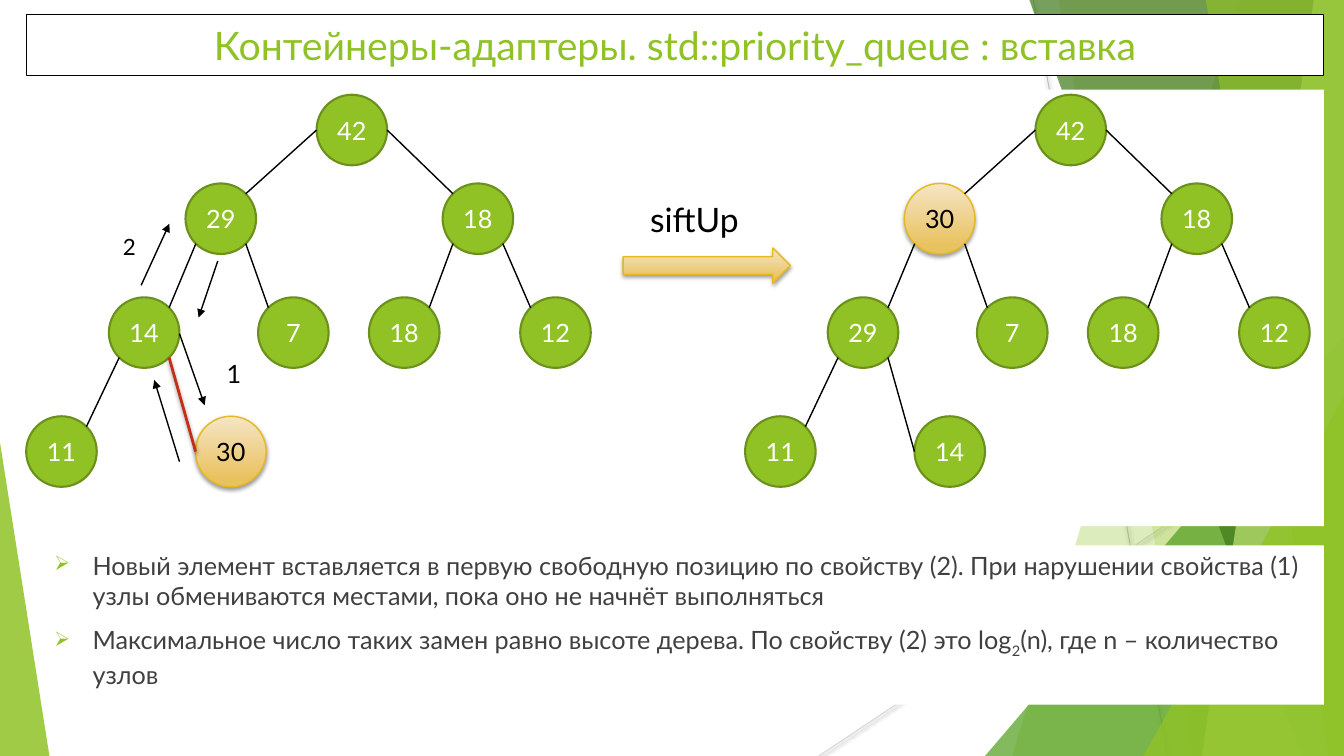
from lxml import etree
from pptx import Presentation
from pptx.dml.color import RGBColor
from pptx.enum.shapes import MSO_CONNECTOR, MSO_SHAPE
from pptx.enum.text import MSO_ANCHOR, MSO_AUTO_SIZE, PP_ALIGN
from pptx.oxml.ns import qn
from pptx.util import Inches, Pt

STRAIGHT = MSO_CONNECTOR.STRAIGHT
RECT, OVAL = MSO_SHAPE.RECTANGLE, MSO_SHAPE.OVAL
TRIANGLE, ARROW = MSO_SHAPE.ISOSCELES_TRIANGLE, MSO_SHAPE.RIGHT_ARROW
MIDDLE, CENTER, LEFT = MSO_ANCHOR.MIDDLE, PP_ALIGN.CENTER, PP_ALIGN.LEFT
GROW, FIXED = MSO_AUTO_SIZE.SHAPE_TO_FIT_TEXT, MSO_AUTO_SIZE.NONE

WHITE = RGBColor(0xFF, 0xFF, 0xFF)
BLACK = RGBColor(0, 0, 0)
TEXT = RGBColor(0x40, 0x40, 0x40)
GREEN = RGBColor(0x90, 0xC2, 0x26)
GREEN_EDGE = RGBColor(0x6B, 0x90, 0x1C)
LEAF = RGBColor(0x54, 0xA0, 0x21)
FOREST = RGBColor(0x3F, 0x78, 0x19)
LIME = RGBColor(0xC0, 0xE4, 0x74)
SAND = RGBColor(0xF5, 0xE5, 0xC5)
GOLD = RGBColor(0xE9, 0xC2, 0x60)
GOLD_EDGE = RGBColor(0xE6, 0xB9, 0x1E)
RED = RGBColor(0xC4, 0x2F, 0x1A)
GRAY = RGBColor(0xBF, 0xBF, 0xBF)
LIGHT_GRAY = RGBColor(0xD9, 0xD9, 0xD9)

W, H = 13.33, 7.5
NODE = 0.7
DIAGONAL = 0.707
TREE_GAP = 7.13
NODE_AT = [(3.14, 0.94), (1.84, 1.82), (4.39, 1.82), (1.08, 2.95), (2.56, 2.95),
           (3.66, 2.95), (5.16, 2.95), (0.26, 4.13), (1.94, 4.13)]


def add_xml(parent, tag, **attrs):
    return etree.SubElement(parent, qn(tag), attrs)


class Deck:
    font = "Lato"

    def __init__(self):
        self.prs = Presentation()
        self.prs.slide_width, self.prs.slide_height = Inches(W), Inches(H)
        self.s = self.prs.slides.add_slide(self.prs.slide_layouts[5])

    def style_runs(self, p, size, color, align=LEFT):
        p.alignment = align
        for r in p.runs:
            r.font.name, r.font.size, r.font.color.rgb = self.font, Pt(size), color

    def paint(self, sp, fill, line=None, width=0.75, alpha=None):
        sp.shadow.inherit = False
        sp.fill.solid()
        sp.fill.fore_color.rgb = fill
        if alpha:
            color = sp.element.spPr.find(qn("a:solidFill"))[0]
            add_xml(color, "a:alpha", val=str(alpha * 1000))
        if line is None:
            sp.line.fill.background()
        else:
            sp.line.color.rgb, sp.line.width = line, Pt(width)

    def paint_gold(self, sp):
        self.paint(sp, GOLD, GOLD_EDGE, 1)
        sp.fill.gradient()
        sp.fill.gradient_angle = 270
        for stop, color, pos in zip(sp.fill.gradient_stops, (SAND, GOLD), (0, 0.88)):
            stop.color.rgb, stop.position = color, pos
        self.cast_shadow(sp.element.spPr.find(qn("a:effectLst")))

    def cast_shadow(self, effects):
        shadow = add_xml(effects, "a:outerShdw", blurRad=str(Pt(3.1)), dist=str(Pt(1.6)),
                         dir="5400000", rotWithShape="0")
        color = add_xml(shadow, "a:srgbClr", val=str(BLACK))
        add_xml(color, "a:alpha", val="38000")

    def shape(self, kind, x, y, w, h, adj=None):
        sp = self.s.shapes.add_shape(kind, Inches(x), Inches(y), Inches(w), Inches(h))
        if adj is not None:
            sp.adjustments[0] = adj
        return sp

    def band(self, top, bottom, color, alpha):
        fb = self.s.shapes.build_freeform(Inches(top), 0)
        fb.add_line_segments([(Inches(x), Inches(y)) for x, y in ((W, 0), (W, H), (bottom, H))])
        self.paint(fb.convert_to_shape(), color, alpha=alpha)

    def line(self, start, end, color=BLACK, width=1, arrow=False, shadow=False):
        c = self.s.shapes.add_connector(STRAIGHT, *(Inches(v) for v in (*start, *end)))
        c.line.color.rgb, c.line.width = color, Pt(width)
        if arrow:
            add_xml(c.line._get_or_add_ln(), "a:tailEnd", type="triangle")
        effects = add_xml(c.element.spPr, "a:effectLst")
        if shadow:
            self.cast_shadow(effects)

    def title(self, text, x, y, w, h):
        sp = self.s.shapes.title
        sp.element.getparent().append(sp.element)
        sp.left, sp.top, sp.width, sp.height = (Inches(v) for v in (x, y, w, h))
        sp.fill.solid()
        sp.fill.fore_color.rgb = WHITE
        sp.line.color.rgb, sp.line.width = BLACK, Pt(0.75)
        tf = sp.text_frame
        tf.text = text
        tf.auto_size, tf.vertical_anchor = FIXED, MIDDLE
        self.style_runs(tf.paragraphs[0], 28, GREEN, CENTER)

    def label(self, text, x, y, w, h, size):
        tf = self.s.shapes.add_textbox(Inches(x), Inches(y), Inches(w), Inches(h)).text_frame
        tf.text = text
        tf.word_wrap, tf.auto_size = False, GROW
        self.style_runs(tf.paragraphs[0], size, BLACK)

    def bullets(self, items, x, y, w, h):
        sp = self.s.shapes.add_textbox(Inches(x), Inches(y), Inches(w), Inches(h))
        sp.fill.solid()
        sp.fill.fore_color.rgb = WHITE
        tf = sp.text_frame
        tf.word_wrap = True
        for i, (text, subscript, rest) in enumerate(items):
            p = tf.add_paragraph() if i else tf.paragraphs[0]
            p.text = text
            if subscript:
                r = p.add_run()
                r.text = subscript
                r.font._element.set("baseline", "-25000")
                p.add_run().text = rest
            self.style_runs(p, 18, TEXT)
            p.space_before = Pt(10)
            pPr = p._p.get_or_add_pPr()
            pPr.set("marL", str(Inches(0.38)))
            pPr.set("indent", str(-Inches(0.38)))
            add_xml(add_xml(pPr, "a:buClr"), "a:srgbClr", val=str(GREEN))
            add_xml(pPr, "a:buSzPct", val="80000")
            add_xml(pPr, "a:buChar", char="➢")

    def node(self, value, x, y, inserted):
        sp = self.shape(OVAL, x, y, NODE, NODE)
        if inserted:
            self.paint_gold(sp)
        else:
            self.paint(sp, GREEN, GREEN_EDGE, 1.5)
        tf = sp.text_frame
        tf.margin_left = tf.margin_right = tf.margin_top = tf.margin_bottom = 0
        tf.text = str(value)
        tf.vertical_anchor = MIDDLE
        self.style_runs(tf.paragraphs[0], 18, BLACK if inserted else WHITE, CENTER)

    def heap(self, values, dx, inserted, broken_edge=None):
        r = NODE / 2
        centers = [(x + dx + r, y + r) for x, y in NODE_AT]
        for i, (value, (x, y)) in enumerate(zip(values, NODE_AT)):
            self.node(value, x + dx, y, i == inserted)
        last = len(values) - 1
        for i in range(1, len(values)):
            parent = (i - 1) // 2
            side = -1 if i % 2 else 1
            px, py = (side, 0) if parent == 0 else (side * DIAGONAL, DIAGONAL)
            cx, cy = (-1, 0) if i == last else (-side * DIAGONAL, -DIAGONAL)
            start = centers[parent][0] + px * r, centers[parent][1] + py * r
            end = centers[i][0] + cx * r, centers[i][1] + cy * r
            if i == broken_edge:
                self.line(start, end, RED, 2, shadow=True)
            else:
                self.line(start, end)

    def backdrop(self):
        self.line((10.25, 0), (11.58, H), GRAY, 0.75, shadow=True)
        self.line((W, 4.03), (8.12, H), LIGHT_GRAY, 0.75, shadow=True)
        self.band(12.28, 10.04, GREEN, 30)
        self.band(10.5, 11.83, GREEN, 20)
        self.paint(self.shape(TRIANGLE, 9.77, 3.33, 3.56, 4.17, 1), LEAF, alpha=72)
        self.band(10.21, 12.91, FOREST, 70)
        self.band(13.03, 11.92, LIME, 70)
        self.band(11.96, 13.18, GREEN, 65)
        self.paint(self.shape(TRIANGLE, 11.34, 3.93, 1.99, 3.57, 1), GREEN, alpha=80)
        self.paint(self.shape(TRIANGLE, 0, 4.39, 0.49, 3.11, 0), GREEN, alpha=85)


def main():
    d = Deck()
    d.backdrop()
    d.paint(d.shape(RECT, 6.51, 0.89, 6.62, 4.33), WHITE)
    d.bullets([
        ("Новый элемент вставляется в первую свободную позицию по свойству (2). "
         "При нарушении свойства (1) узлы обмениваются местами, пока оно не начнёт выполняться", "", ""),
        ("Максимальное число таких замен равно высоте дерева. По свойству (2) это log",
         "2", "(n), где n – количество узлов"),
    ], 0.44, 5.41, 12.69, 1.58)
    d.title("Контейнеры-адаптеры. std::priority_queue : вставка", 0.26, 0.14, 12.87, 0.61)
    d.heap([42, 29, 18, 14, 7, 18, 12, 11, 30], 0, inserted=8, broken_edge=8)
    d.heap([42, 30, 18, 29, 7, 18, 12, 11, 14], TREE_GAP, inserted=1)
    d.paint_gold(d.shape(ARROW, 6.18, 2.46, 1.66, 0.35))
    d.label("siftUp", 6.35, 1.92, 1.1, 0.5, 24)
    for start, end in (((1.78, 4.58), (1.53, 3.77)), ((1.78, 3.31), (2.03, 4.02)),
                       ((1.4, 2.83), (1.68, 2.22)), ((2.16, 2.59), (1.97, 3.15))):
        d.line(start, end, arrow=True)
    d.label("1", 2.15, 3.51, 0.34, 0.4, 18)
    d.label("2", 1.12, 2.26, 0.32, 0.37, 16)
    d.prs.save("out.pptx")


if __name__ == "__main__":
    main()
